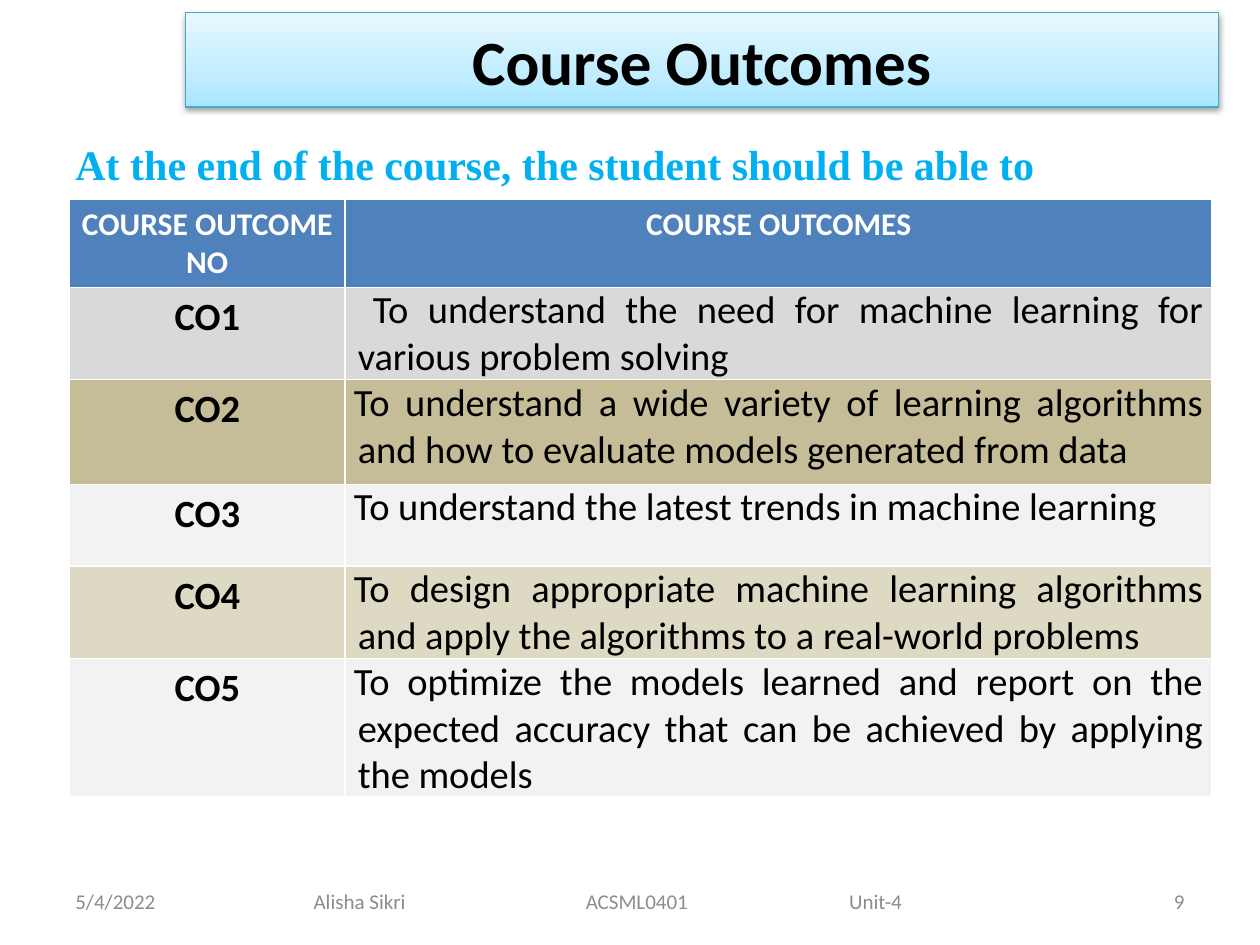
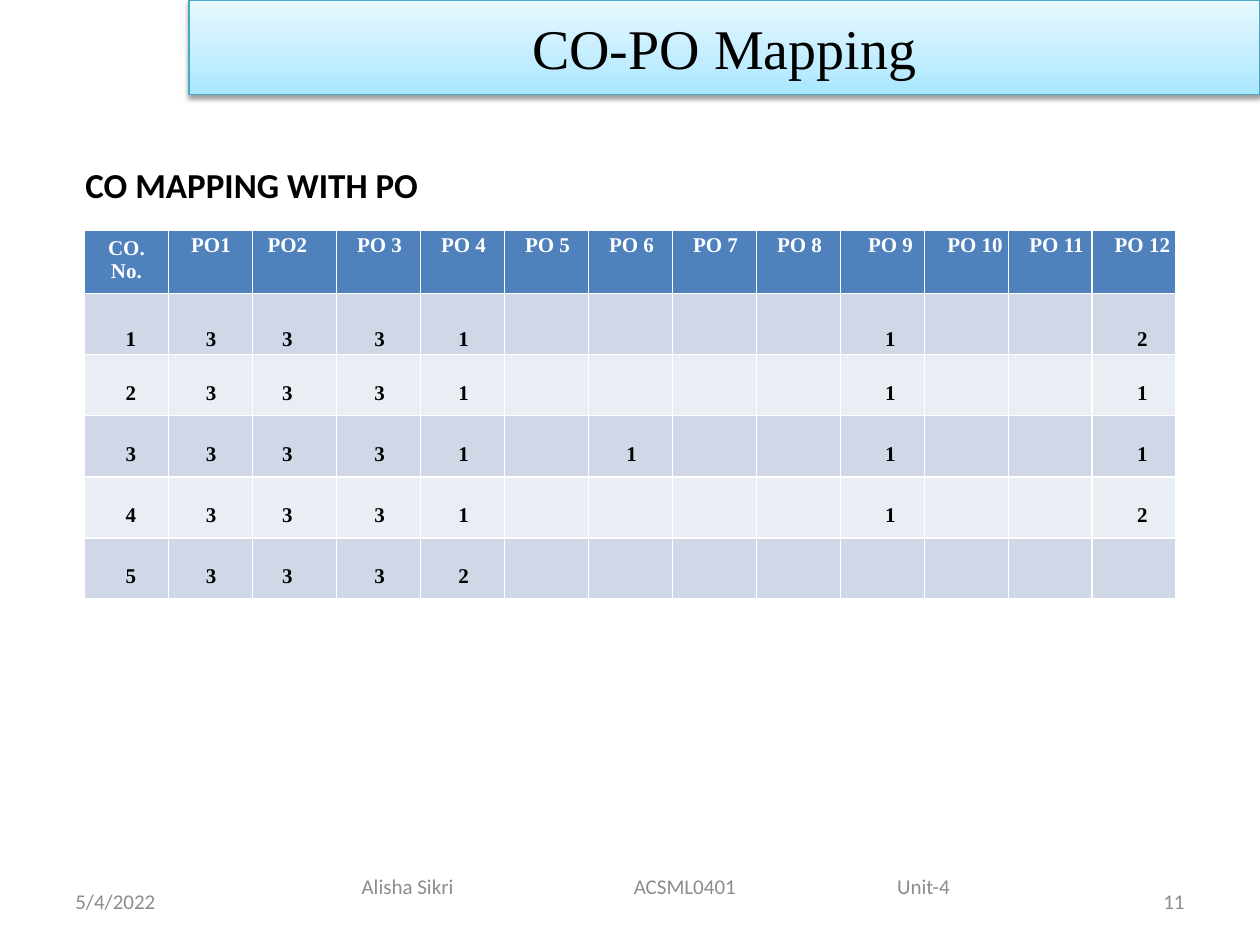
import pptx
import pptx.util
import pptx.dml.color
import pptx.enum.shapes
import pptx.enum.text
import pptx.oxml
import pptx.oxml.ns

Inches = pptx.util.Inches
Pt = pptx.util.Pt
ALIGN = pptx.enum.text.PP_ALIGN
MIDDLE = pptx.enum.text.MSO_ANCHOR.MIDDLE
TOP = pptx.enum.text.MSO_ANCHOR.TOP
SANS, SERIF = "Calibri", "Times New Roman"
BLACK, WHITE, GREY, BLUE, SKY = "000000", "FFFFFF", "8C8C8C", "4F81BD", "00B0F0"
FADE = [(0, "A7E6FF"), (35, "C1EDFF"), (100, "E7F8FF")]
NOTE = dict(name=SANS, size=Pt(12), color=GREY)
HEAD = dict(name=SANS, size=Pt(18), color=WHITE, bold=True)
CODE = dict(name=SANS, size=Pt(22), color=BLACK, bold=True)
GOAL = dict(CODE, bold=False)
MARK = dict(name=SERIF, size=Pt(12), color=BLACK, bold=True)
LABEL = dict(MARK, color=WHITE)


def tint(code):
    return pptx.dml.color.RGBColor.from_string(code)


def node(xml):
    space = pptx.oxml.ns.nsdecls("a")
    return pptx.oxml.parse_xml(xml.replace(" ", f" {space} ", 1))


class Deck:
    def __init__(self):
        self.file = pptx.Presentation()
        self.file.slide_width = Inches(10)
        self.file.slide_height = Inches(7.5)
        self.slide = None

    def page(self, number, left, top, width):
        self.slide = self.file.slides.add_slide(self.file.slide_layouts[6])
        self.text("5/4/2022", (0.5, 6.95, 2.33, 0.4), NOTE, anchor=MIDDLE)
        self.text(str(number), (7.17, 6.95, 2.33, 0.4), NOTE, ALIGN.RIGHT, MIDDLE)
        parts = ["Alisha Sikri", "ACSML0401", "Unit-4"]
        frame = self.text("\t".join(parts), (left, top, width, 0.4), NOTE, anchor=MIDDLE, tabs=(2.16, 4.25))
        frame.margin_left = Inches(width / 2 - 2.34)

    def put(self, frame, words, style, align=ALIGN.LEFT, tabs=()):
        para = frame.paragraphs[0]
        para.alignment = align
        if tabs:
            stops = "".join(f'<a:tab pos="{Inches(tab)}" algn="l"/>' for tab in tabs)
            para._p.get_or_add_pPr().append(node(f"<a:tabLst >{stops}</a:tabLst>"))
        run = para.add_run()
        run.text = words
        for key, value in style.items():
            if key == "color":
                run.font.color.rgb = tint(value)
            else:
                setattr(run.font, key, value)
        return para

    def text(self, words, place, style, align=ALIGN.LEFT, anchor=TOP, tabs=()):
        frame = self.slide.shapes.add_textbox(*map(Inches, place)).text_frame
        frame.word_wrap = True
        frame.vertical_anchor = anchor
        self.put(frame, words, style, align, tabs)
        return frame

    def band(self, words, place, style):
        kind = pptx.enum.shapes.MSO_SHAPE.RECTANGLE
        shape = self.slide.shapes.add_shape(kind, *map(Inches, place))
        shape.fill.gradient()
        shape.fill.gradient_angle = 90
        stops = shape._element.spPr.find(".//" + pptx.oxml.ns.qn("a:gsLst"))
        for stop in list(stops):
            stops.remove(stop)
        for spot, code in FADE:
            stops.append(node(f'<a:gs pos="{spot * 1000}"><a:srgbClr val="{code}"/></a:gs>'))
        shape.line.color.rgb = tint("46AAC5")
        shape.line.width = Pt(0.75)
        shape._element.spPr.append(node(
            f'<a:effectLst ><a:outerShdw blurRad="{Pt(3.1)}" dist="{Pt(1.6)}" dir="5400000" rotWithShape="0">'
            '<a:srgbClr val="000000"><a:alpha val="38000"/></a:srgbClr>'
            '</a:outerShdw></a:effectLst>'))
        shape.text_frame.vertical_anchor = MIDDLE
        self.put(shape.text_frame, words, dict(style, color=BLACK), ALIGN.CENTER)

    def table(self, place, cols, rows):
        size = len(rows), len(cols)
        table = self.slide.shapes.add_table(*size, *map(Inches, place)).table
        for col, width in zip(table.columns, cols):
            col.width = Inches(width)
        for row, height in zip(table.rows, rows):
            row.height = Inches(height)
        return table

    def cell(self, cell, words, style, fill, align=ALIGN.CENTER, inset=None, **form):
        cell.fill.solid()
        cell.fill.fore_color.rgb = tint(fill)
        if not words:
            return None
        if inset:
            for side, gap in zip(("left", "top", "right", "bottom"), inset):
                setattr(cell, "margin_" + side, Inches(gap))
        para = self.put(cell.text_frame, words, style, align)
        for key, value in form.items():
            setattr(para, key, value)
        return para


def goals(deck):
    deck.page(9, 0.58, 6.95, 8.5)
    deck.band("Course Outcomes", (1.47, 0.1, 8.2, 0.75), dict(name=SANS, size=Pt(36), bold=True))
    deck.text("At the end of the course, the student should be able to", (0.5, 1.05, 7.92, 0.5),
              dict(name=SERIF, size=Pt(24), color=SKY, bold=True))
    aims = [
        ("D9D9D9", "To understand the need for machine learning for various problem solving"),
        ("C4BD97", "To understand a wide variety of learning algorithms and how to evaluate models generated from data"),
        ("F2F2F2", "To understand the latest trends in machine learning"),
        ("DDD9C3", "To design appropriate machine learning algorithms and apply the algorithms to a real-world problems"),
        ("F2F2F2", "To optimize the models learned and report on the expected accuracy that can be achieved by applying the models"),
    ]
    table = deck.table((0.55, 1.58, 9.07, 4.75), (2.19, 6.88), (0.7, 0.65, 0.83, 0.65, 0.65, 0.65))
    for col, words in enumerate(("COURSE OUTCOME NO", "COURSE OUTCOMES")):
        deck.cell(table.cell(0, col), words, HEAD, BLUE)
    for row, (fill, aim) in enumerate(aims, 1):
        deck.cell(table.cell(row, 0), f"CO{row}", CODE, fill)
        para = deck.cell(table.cell(row, 1), aim, GOAL, fill, ALIGN.JUSTIFY, (0.07, 0, 0.07, 0))
        form = para._p.get_or_add_pPr()
        form.set("marL", str(Inches(0.03)))
        form.set("indent", str(Inches(0.12 if row == 1 else -0.03)))


def mapping(deck):
    deck.page(11, 2.17, 6.83, 6.08)
    deck.band("CO-PO Mapping", (1.5, 0, 8.5, 0.75), dict(name=SERIF, size=Pt(32)))
    deck.text("CO MAPPING WITH PO", (0.58, 1.25, 9, 0.5), dict(name=SANS, size=Pt(20), color=BLACK, bold=True))
    heads = ["CO. No.", "PO1", "PO2"] + [f"PO {n}" for n in range(3, 13)]
    marks = [
        {1: 3, 2: 3, 3: 3, 4: 1, 9: 1, 12: 2},
        {1: 3, 2: 3, 3: 3, 4: 1, 9: 1, 12: 1},
        {1: 3, 2: 3, 3: 3, 4: 1, 6: 1, 9: 1, 12: 1},
        {1: 3, 2: 3, 3: 3, 4: 1, 9: 1, 12: 2},
        {1: 3, 2: 3, 3: 3, 4: 2},
    ]
    lefts = [0.07, 0.01, 0] + [0.02] * 6 + [0.13, 0.14, 0.1, 0.13]
    count = len(heads)
    table = deck.table((0.67, 1.83, 8.67, 2.91), [8.67 / count] * count, [2.91 / 6] * 6)
    for col, (head, left) in enumerate(zip(heads, lefts)):
        right = 0.11 if head == "PO2" else 0
        if col:
            deck.cell(table.cell(0, col), head, LABEL, BLUE, inset=(left, 0, right, 0), line_spacing=1.15)
        else:
            deck.cell(table.cell(0, col), head, LABEL, BLUE)
        for row, line in enumerate(marks, 1):
            mark = line.get(col, "") if col else row
            cell = table.cell(row, col)
            cell.vertical_anchor = MIDDLE
            top, pitch = (0.22, 1.15) if row == 1 else (0.16, Pt(11.4))
            deck.cell(cell, str(mark), MARK, "D0D8E8" if row % 2 else "E9EDF4",
                      inset=(left, top, right, 0), line_spacing=pitch)


def main():
    deck = Deck()
    goals(deck)
    mapping(deck)
    deck.file.save("out.pptx")


if __name__ == "__main__":
    main()
